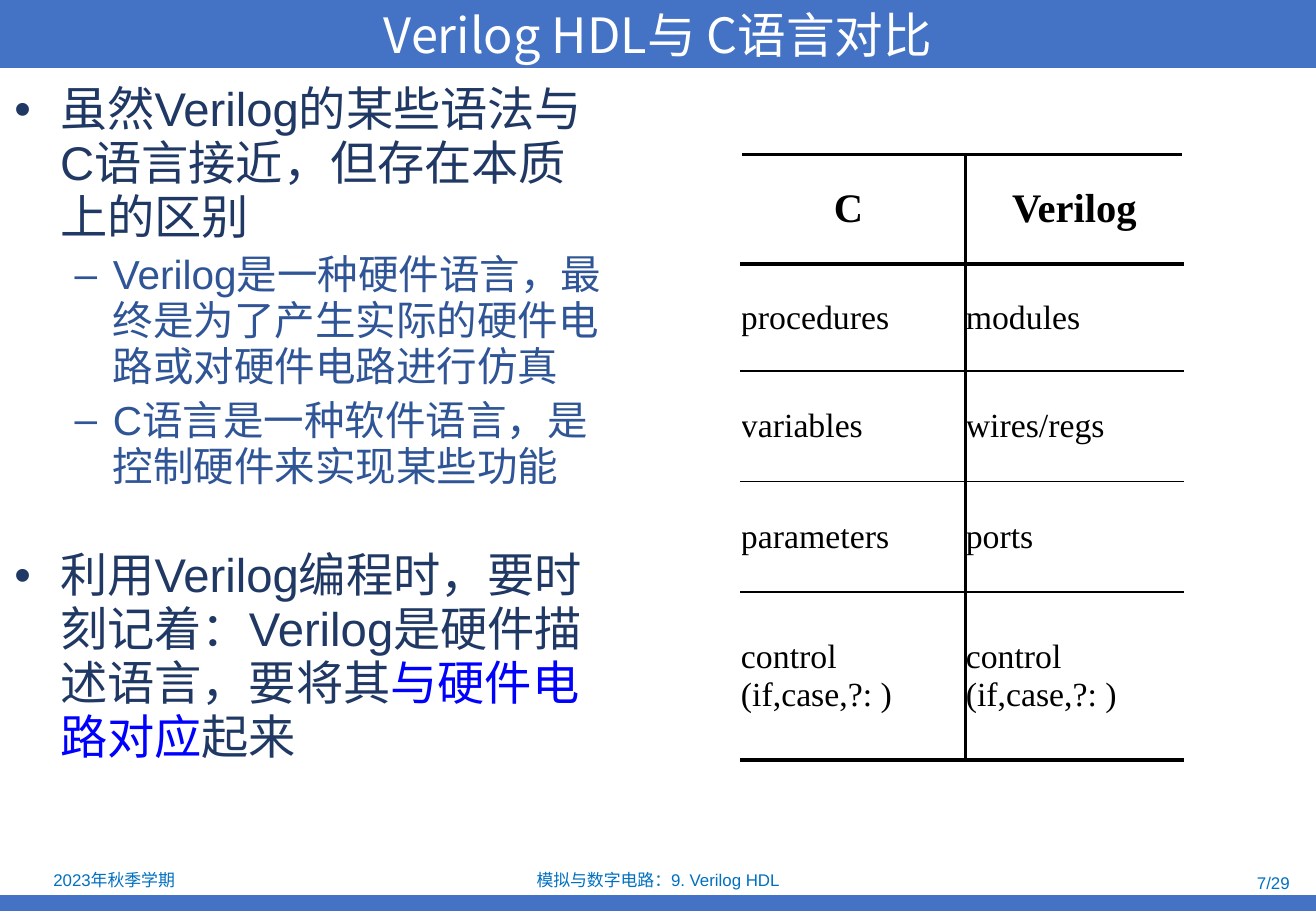
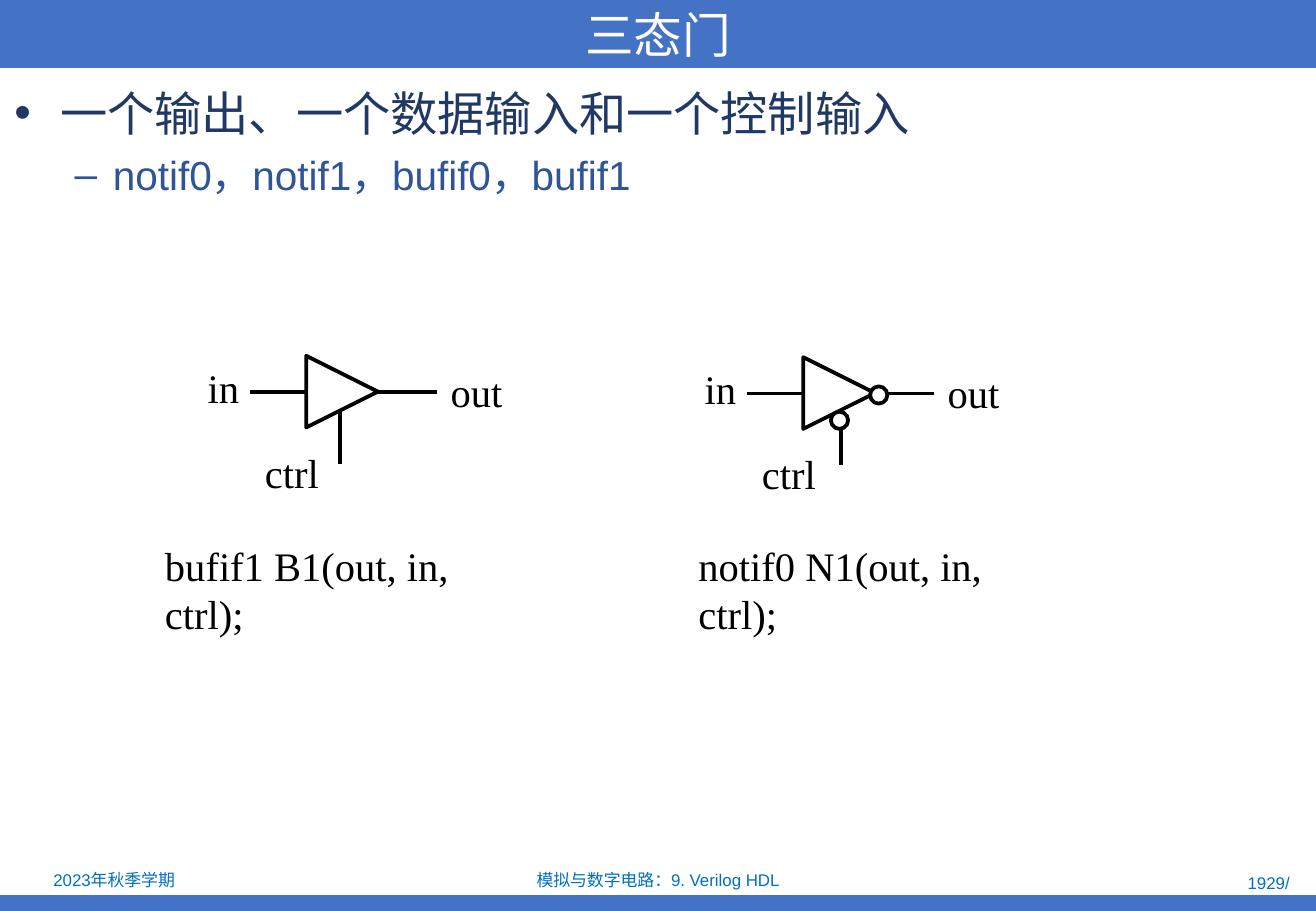
from lxml import etree
from pptx import Presentation
from pptx import util as u
from pptx.dml.color import RGBColor
from pptx.enum import shapes as kinds, text
from pptx.oxml.ns import qn

Cm, Pt = u.Cm, u.Pt
ALIGN, ANCHOR = text.PP_ALIGN, text.MSO_ANCHOR
SHAPE = kinds.MSO_SHAPE
COLORS = {"band": "4472C4", "footer": "0070C0", "main": "203864", "sub": "2F5597",
          "accent": "0000FF", "white": "FFFFFF", "black": "000000"}
RGB = {name: RGBColor.from_string(value) for name, value in COLORS.items()}

# Text styles
CJK = "Noto Sans CJK SC"
TITLE = {"name": CJK, "size": Pt(28.8)}
FOOTER = {"name": "Arial", "size": Pt(10)}
LABEL = {"name": "Times New Roman", "size": Pt(24)}
CELL = {"name": "Times New Roman", "size": Pt(20), "bold": False}
HEADER = {**LABEL, "bold": True}
LEVELS = [
    {"font": {"name": "Arial", "size": Pt(28)}, "bullet": "•", "left": 0.96, "hang": 0.96},
    {"font": {"name": "Arial", "size": Pt(24)}, "bullet": "–", "left": 2.06, "hang": 0.8},
]


def write(paragraph, words, style, color):
    run = paragraph.add_run()
    run.text = words
    for attribute, value in style.items():
        setattr(run.font, attribute, value)
    run.font.color.rgb = RGB[color]
    etree.SubElement(run._r.get_or_add_rPr(), qn("a:ea"), typeface=CJK)


def add_text(shapes, box, words, style, color, align=ALIGN.LEFT, **frame_format):
    frame = shapes.add_textbox(*map(Cm, box)).text_frame
    for attribute, value in {"word_wrap": True, **frame_format}.items():
        setattr(frame, attribute, value)
    paragraph = frame.paragraphs[0]
    paragraph.alignment = align
    write(paragraph, words, style, color)


# Content: each paragraph is level, space before in points, coloured pieces
PAGES = [
    {"title": "Verilog HDL与 C语言对比", "number": "7/29", "width": 12.85, "line": 0.95, "body": [
        (0, 0, [("虽然Verilog的某些语法与C语言接近，但存在本质上的区别", "main")]),
        (1, 4.2, [("Verilog是一种硬件语言，最终是为了产生实际的硬件电路或对硬件电路进行仿真", "sub")]),
        (1, 4.2, [("C语言是一种软件语言，是控制硬件来实现某些功能", "sub")]),
        (0, 35, [("利用Verilog编程时，要时刻记着：Verilog是硬件描述语言，要将其", "main"),
                 ("与硬件电路对应", "accent"), ("起来", "main")])]},
    {"title": "三态门", "number": "1929/", "width": 27.45, "line": 1.0, "body": [
        (0, 0, [("一个输出、一个数据输入和一个控制输入", "main")]),
        (1, 5.5, [("notif0，notif1，bufif0，bufif1", "sub")])]},
]

presentation = Presentation()
presentation.slide_width, presentation.slide_height = Cm(27.51), Cm(19.05)
slides = []

for page in PAGES:
    slide = presentation.slides.add_slide(presentation.slide_layouts[6])
    slides.append(slide)

    # Title band and bottom band
    for top, height, words in [(18.72, 0.33, ""), (0, 1.42, page["title"])]:
        band = slide.shapes.add_shape(SHAPE.RECTANGLE, 0, Cm(top),
                                      presentation.slide_width, Cm(height))
        band.shadow.inherit = False
        band.fill.solid()
        band.fill.fore_color.rgb = RGB["band"]
        band.line.fill.background()
        if words:
            band.text_frame.vertical_anchor = ANCHOR.MIDDLE
            band.text_frame.paragraphs[0].alignment = ALIGN.CENTER
            write(band.text_frame.paragraphs[0], words, TITLE, "white")

    # Footers
    for box, words, align in [
        ((0.05, 18.11, 4.67, 0.58), "2023年秋季学期", ALIGN.CENTER),
        ((9.4, 18.14, 8.71, 0.53), "模拟与数字电路：9. Verilog HDL", ALIGN.CENTER),
        ((20.78, 18.19, 6.43, 0.53), page["number"], ALIGN.RIGHT),
    ]:
        add_text(slide.shapes, box, words, FOOTER, "footer", align,
                 vertical_anchor=ANCHOR.MIDDLE)

    # Bulleted body
    frame = slide.shapes.add_textbox(Cm(0.05), Cm(1.63), Cm(page["width"]), Cm(16.5)).text_frame
    frame.word_wrap = True
    for index, (depth, before, pieces) in enumerate(page["body"]):
        paragraph = frame.add_paragraph() if index else frame.paragraphs[0]
        level = LEVELS[depth]
        paragraph.level = depth
        paragraph.line_spacing = page["line"]
        paragraph.space_before = Pt(before)
        properties = paragraph._p.get_or_add_pPr()
        properties.set("marL", str(Cm(level["left"])))
        properties.set("indent", str(-Cm(level["hang"])))
        etree.SubElement(properties, qn("a:buFont"), typeface="Arial")
        etree.SubElement(properties, qn("a:buChar"), char=level["bullet"])
        for words, color in pieces:
            write(paragraph, words, level["font"], color)

comparison_slide, gate_slide = slides

# Comparison table
ROWS = [("C ", "Verilog"), ("procedures", "modules"), ("variables", "wires/regs"),
        ("parameters", "ports"), ("control (if,case,?: )", "control (if,case,?: )")]
HEIGHTS = [2.29, 2.24, 2.31, 2.31, 3.51]
WIDTHS = [4.7, 4.54]
THICK, THIN = Pt(2.25), Pt(1)
table = comparison_slide.shapes.add_table(
    len(ROWS), len(WIDTHS), Cm(15.49), Cm(3.23), Cm(sum(WIDTHS)), Cm(sum(HEIGHTS))).table
table.first_row = table.horz_banding = False
for column, width in zip(table.columns, WIDTHS):
    column.width = Cm(width)
for row_index, (words_row, height) in enumerate(zip(ROWS, HEIGHTS)):
    table.rows[row_index].height = Cm(height)
    style = CELL if row_index else HEADER
    for column_index, words in enumerate(words_row):
        cell = table.cell(row_index, column_index)
        for side in ("left", "right", "top", "bottom"):
            setattr(cell, f"margin_{side}", 0)
        cell.vertical_anchor = ANCHOR.MIDDLE
        paragraph = cell.text_frame.paragraphs[0]
        paragraph.alignment = ALIGN.LEFT if row_index else ALIGN.CENTER
        paragraph.space_after = Pt(style["size"].pt * 0.2)
        write(paragraph, words, style, "black")
        # Heavy rules around the header, between columns and at the foot
        borders = [("a:lnL", THICK)] if column_index else [("a:lnR", THICK)]
        borders += [("a:lnT", THICK if row_index < 2 else THIN),
                    ("a:lnB", THICK if row_index in (0, len(ROWS) - 1) else THIN)]
        properties = cell._tc.get_or_add_tcPr()
        for tag, width in borders:
            border = etree.SubElement(properties, qn(tag), w=str(width))
            fill = etree.SubElement(border, qn("a:solidFill"))
            etree.SubElement(fill, qn("a:srgbClr"), val=COLORS["black"])
        cell.fill.background()

# Tri-state gates: offset, control line position, inversion bubbles, code
GATES = [
    (0, 0, 7.11, [], (3.2, "bufif1 B1(out, in, ctrl);")),
    (10.39, 0.03, 17.58, [(18.19, 8.08), (17.37, 8.61)], (14.35, "notif0 N1(out, in, ctrl);")),
]
for dx, dy, control, bubbles, (code_left, code) in GATES:
    add_text(gate_slide.shapes, (code_left, 11.18, 8.28, 1.27), code, LABEL, "black",
             word_wrap=False)
    parts = gate_slide.shapes.add_group_shape().shapes
    wires = [(5.23 + dx, 8.2 + dy, 9.14 + dx, 8.2 + dy), (control, 8.61 + dy, control, 9.7 + dy)]
    outlines = [(SHAPE.FLOWCHART_EXTRACT, 6.4 + dx, 7.44 + dy, 1.5, 90)]
    outlines += [(SHAPE.OVAL, left, top, 0.36, 0) for left, top in bubbles]

    # Signal wire, triangle, control wire, then bubbles
    for item in [wires[0], outlines[0], wires[1], *outlines[1:]]:
        if item in wires:
            drawn = parts.add_connector(kinds.MSO_CONNECTOR.STRAIGHT, *map(Cm, item))
            etree.SubElement(drawn._element.spPr, qn("a:effectLst"))
        else:
            kind, left, top, size, rotation = item
            drawn = parts.add_shape(kind, Cm(left), Cm(top), Cm(size), Cm(size))
            drawn.rotation = rotation
            drawn.shadow.inherit = False
            drawn.fill.solid()
            drawn.fill.fore_color.rgb = RGB["white"]
        drawn.line.color.rgb = RGB["black"]
        drawn.line.width = Pt(2.25)

    for words, left, top, width in [("in", 4.34, 7.59, 1.04), ("out", 9.42, 7.67, 1.7),
                                    ("ctrl", 5.54, 9.37, 1.7)]:
        add_text(parts, (left + dx, top + dy, width, 0.81), words, LABEL, "black", ALIGN.JUSTIFY,
                 margin_left=0, margin_right=0, margin_top=0, margin_bottom=0)

presentation.save("out.pptx")
